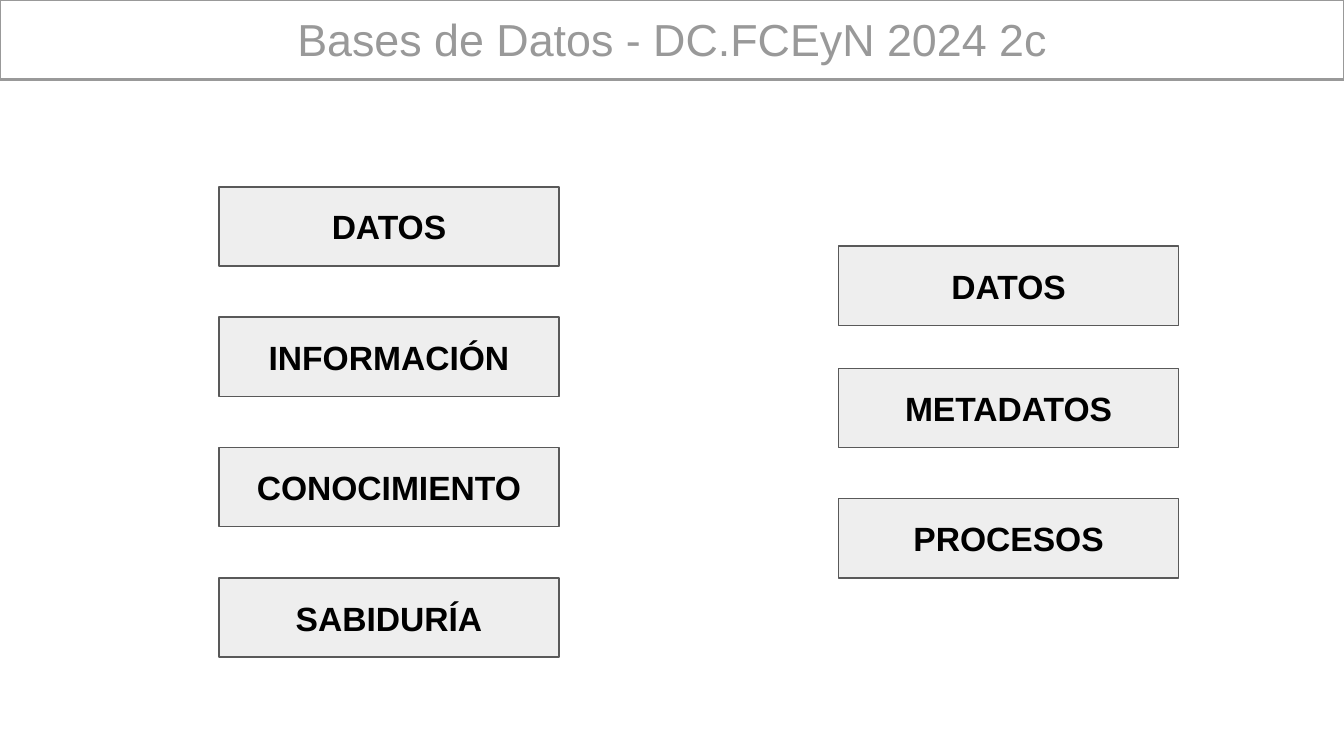
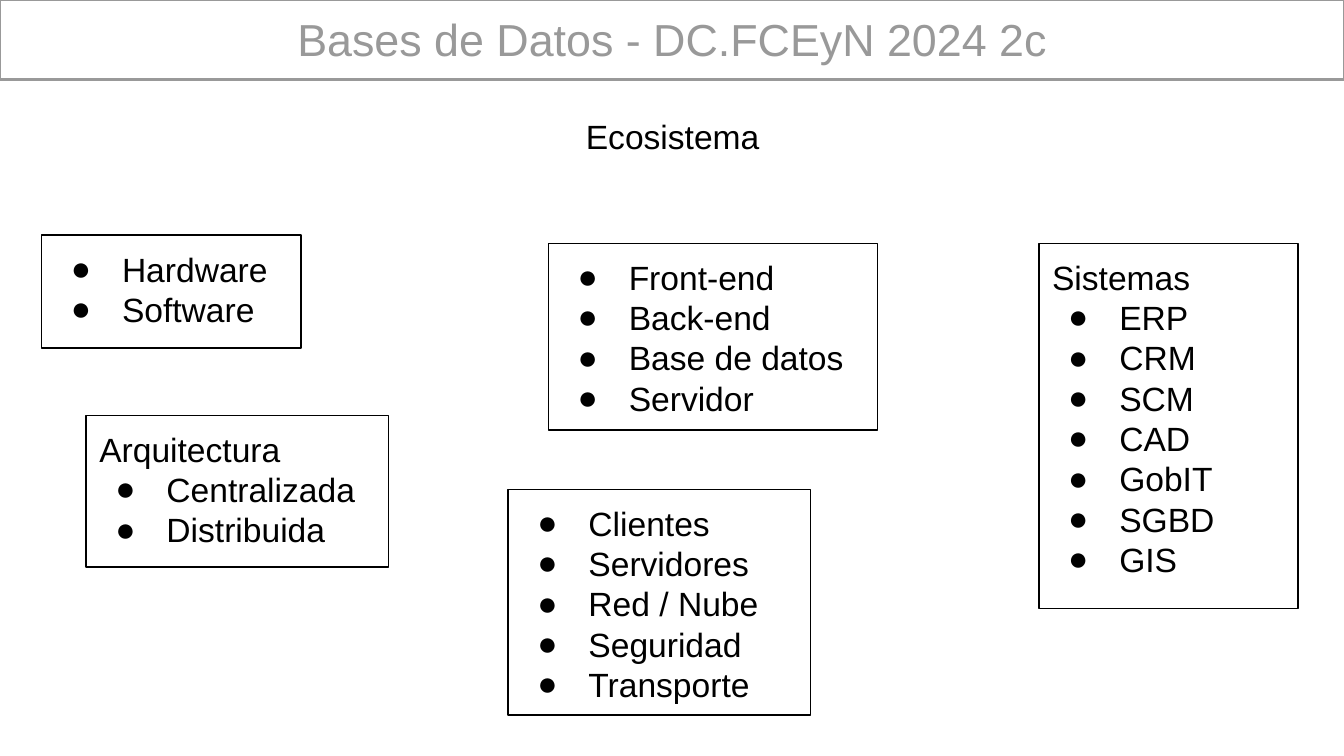
from dataclasses import dataclass

from lxml.etree import SubElement
from pptx import Presentation
from pptx.dml.color import RGBColor
from pptx.enum.shapes import MSO_SHAPE
from pptx.enum.text import MSO_ANCHOR, MSO_AUTO_SIZE, PP_ALIGN
from pptx.oxml.ns import qn
from pptx.util import Inches, Pt


@dataclass(frozen=True)
class Theme:
    font: str = "Arial"
    title_size: int = 24
    body_size: int = 18
    title_line: float = 1.5
    box_line: float = 0.75
    gray: str = "999999"
    black: str = "000000"
    concept_fill: str = "EEEEEE"
    concept_line: str = "595959"
    inset: float = 0.1
    bullet: str = "●"
    bullet_margin: float = 0.5
    bullet_indent: float = -0.38


@dataclass(frozen=True)
class Concept:
    text: str
    left: float
    top: float


@dataclass(frozen=True)
class ListBox:
    left: float
    top: float
    width: float
    height: float
    items: tuple[str, ...]
    heading: str = ""


THEME = Theme()
SLIDE_WIDTH = 10
SLIDE_HEIGHT = SLIDE_WIDTH * 9 / 16
BAND_HEIGHT = 0.59
CONCEPT_WIDTH, CONCEPT_HEIGHT = 2.53, 0.59
COURSE_TITLE = "Bases de Datos - DC.FCEyN 2024 2c"

KNOWLEDGE_LEVELS = [
    Concept(text, 1.63, 1.39 + 0.97 * index)
    for index, text in enumerate(("DATOS", "INFORMACIÓN", "CONOCIMIENTO", "SABIDURÍA"))
]
DATABASE_PARTS = [
    Concept("DATOS", 6.24, 1.83),
    Concept("METADATOS", 6.24, 2.74),
    Concept("PROCESOS", 6.24, 3.71),
]
ECOSYSTEM = [
    ListBox(0.31, 1.75, 1.93, 0.84, ("Hardware", "Software")),
    ListBox(0.64, 3.09, 2.25, 1.13, ("Centralizada", "Distribuida"), "Arquitectura"),
    ListBox(7.73, 1.81, 1.93, 2.72,
            ("ERP", "CRM", "SCM", "CAD", "GobIT", "SGBD", "GIS"), "Sistemas"),
    ListBox(4.08, 1.81, 2.45, 1.39, ("Front-end", "Back-end", "Base de datos", "Servidor")),
    ListBox(3.78, 3.64, 2.25, 1.68,
            ("Clientes", "Servidores", "Red / Nube", "Seguridad", "Transporte")),
]


def prepare_frame(shape, anchor: MSO_ANCHOR):
    frame = shape.text_frame
    frame.word_wrap = True
    frame.auto_size = MSO_AUTO_SIZE.NONE
    frame.vertical_anchor = anchor
    frame.margin_left = frame.margin_right = Inches(THEME.inset)
    frame.margin_top = frame.margin_bottom = Inches(THEME.inset)
    return frame


def write(paragraph, text: str, align: PP_ALIGN = PP_ALIGN.LEFT, size: int = THEME.body_size,
          color: str = THEME.black, bold: bool = False) -> None:
    paragraph.alignment = align
    run = paragraph.add_run()
    run.text = text
    run.font.name = THEME.font
    run.font.size = Pt(size)
    run.font.bold = bold
    run.font.color.rgb = RGBColor.from_string(color)


def add_bullet(paragraph) -> None:
    properties = paragraph._p.get_or_add_pPr()
    properties.set("marL", str(Inches(THEME.bullet_margin)))
    properties.set("indent", str(Inches(THEME.bullet_indent)))
    color = SubElement(properties, qn("a:buClr"))
    SubElement(color, qn("a:srgbClr"), val=THEME.black)
    SubElement(properties, qn("a:buFont"), typeface=THEME.font)
    SubElement(properties, qn("a:buChar"), char=THEME.bullet)


def outline(shape, color: str, width: float) -> None:
    shape.line.color.rgb = RGBColor.from_string(color)
    shape.line.width = Pt(width)


def add_box(slide, left: float, top: float, width: float, height: float, line: str):
    shape = slide.shapes.add_shape(
        MSO_SHAPE.RECTANGLE, Inches(left), Inches(top), Inches(width), Inches(height))
    shape.shadow.inherit = False
    shape.fill.background()
    outline(shape, line, THEME.box_line)
    return shape


def add_course_slide(presentation):
    """Add a title-only slide with the outlined course band."""
    slide = presentation.slides.add_slide(presentation.slide_layouts[5])
    title = slide.shapes.title
    title.left, title.top = Inches(0), Inches(0)
    title.width, title.height = Inches(SLIDE_WIDTH), Inches(BAND_HEIGHT)
    outline(title, THEME.gray, THEME.title_line)
    frame = prepare_frame(title, MSO_ANCHOR.BOTTOM)
    write(frame.paragraphs[0], COURSE_TITLE, PP_ALIGN.CENTER, THEME.title_size, THEME.gray)
    return slide


def add_concept(slide, concept: Concept) -> None:
    shape = add_box(slide, concept.left, concept.top, CONCEPT_WIDTH, CONCEPT_HEIGHT,
                    THEME.concept_line)
    shape.fill.solid()
    shape.fill.fore_color.rgb = RGBColor.from_string(THEME.concept_fill)
    frame = prepare_frame(shape, MSO_ANCHOR.MIDDLE)
    write(frame.paragraphs[0], concept.text, PP_ALIGN.CENTER, bold=True)


def add_list_box(slide, box: ListBox) -> None:
    shape = add_box(slide, box.left, box.top, box.width, box.height, THEME.black)
    frame = prepare_frame(shape, MSO_ANCHOR.TOP)
    lines = ((box.heading,) if box.heading else ()) + box.items
    for index, text in enumerate(lines):
        paragraph = frame.add_paragraph() if index else frame.paragraphs[0]
        if text != box.heading:
            add_bullet(paragraph)
        write(paragraph, text)


def add_subtitle(slide, text: str) -> None:
    shape = slide.shapes.add_textbox(Inches(2.36), Inches(0.76), Inches(5.29), Inches(0.62))
    frame = prepare_frame(shape, MSO_ANCHOR.TOP)
    write(frame.paragraphs[0], text, PP_ALIGN.CENTER)


def main() -> None:
    presentation = Presentation()
    presentation.slide_width = Inches(SLIDE_WIDTH)
    presentation.slide_height = Inches(SLIDE_HEIGHT)

    concepts_slide = add_course_slide(presentation)
    for concept in KNOWLEDGE_LEVELS + DATABASE_PARTS:
        add_concept(concepts_slide, concept)

    ecosystem_slide = add_course_slide(presentation)
    add_subtitle(ecosystem_slide, "Ecosistema")
    for box in ECOSYSTEM:
        add_list_box(ecosystem_slide, box)

    presentation.save("out.pptx")


if __name__ == "__main__":
    main()
